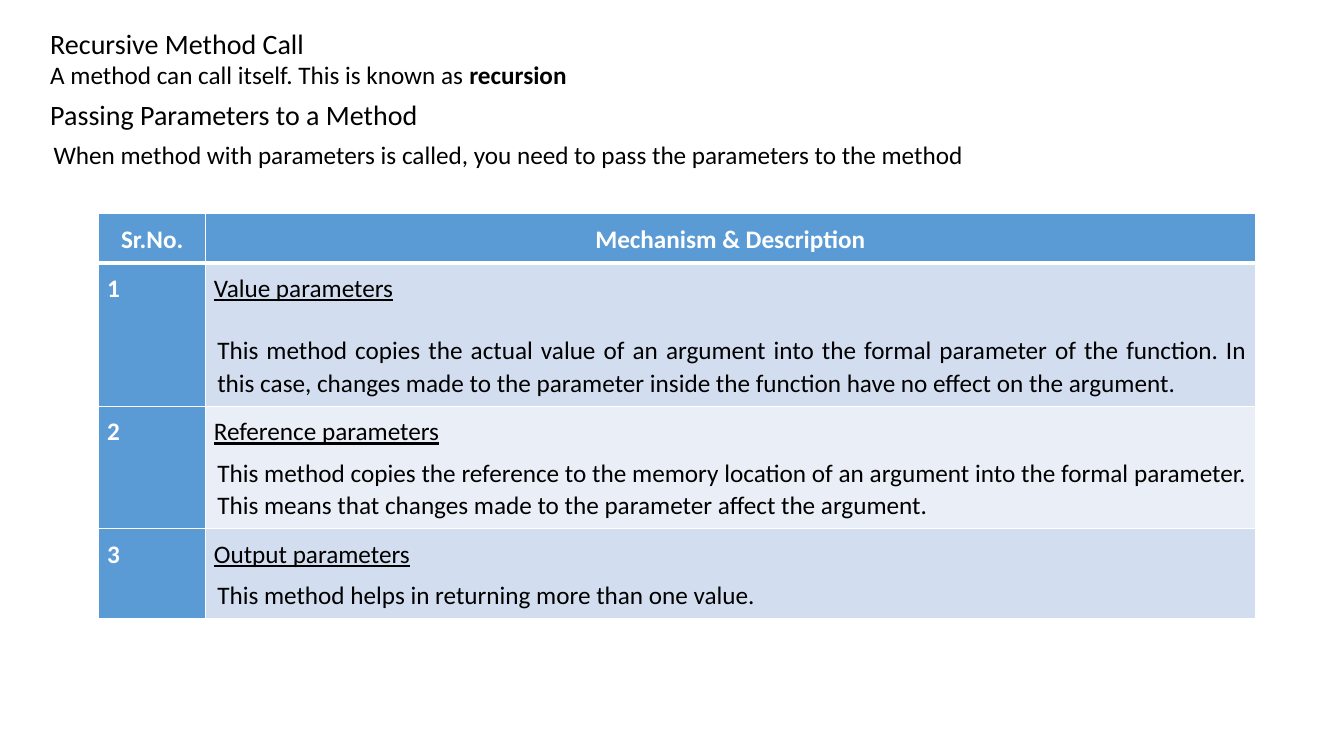
"""Build a slide on recursion and on passing parameters to a method."""
from dataclasses import dataclass

from lxml.etree import SubElement
from pptx import Presentation
from pptx.dml.color import RGBColor
from pptx.enum.text import MSO_AUTO_SIZE as AutoSize, PP_ALIGN as Align
from pptx.oxml.ns import qn
from pptx.util import Pt


@dataclass(frozen=True)
class Theme:
    """Colours, font and type sizes of the slide."""
    font: str = "Calibri"
    heading: int = 20
    body: int = 18
    ink: str = "000000"
    white: str = "FFFFFF"
    accent: str = "5B9BD5"
    bands: tuple = ("D2DEEF", "EAEFF7")


@dataclass
class Text:
    """One paragraph: its (text, style) runs and its spacing."""
    runs: list
    align: Align = Align.LEFT
    size: int = Theme.body
    color: str = Theme.ink
    before: float = 0
    after: float = 0
    line: float = 1
    indent: float = 0


class SlideBuilder:
    """Holds the theme and the current slide."""

    def __init__(self, slide, theme):
        """Keep the slide and its style."""
        self.slide = slide
        self.theme = theme

    def fill_text(self, frame, texts):
        """Fill a text frame paragraph by paragraph, run by run."""
        frame.word_wrap = True
        for index, text in enumerate(texts):
            paragraph = frame.add_paragraph() if index else frame.paragraphs[0]
            paragraph.alignment = text.align
            paragraph.line_spacing = text.line
            paragraph.space_before = Pt(text.before)
            paragraph.space_after = Pt(text.after)
            if text.indent:
                properties = paragraph._p.get_or_add_pPr()
                properties.set("marL", str(Pt(text.indent)))
                properties.set("indent", "0")
            for words, style in text.runs:
                run = paragraph.add_run()
                run.text = words
                run.font.name = self.theme.font
                run.font.size = Pt(text.size)
                run.font.color.rgb = RGBColor.from_string(text.color)
                run.font.bold = "b" in style
                run.font.underline = "u" in style

    def text_box(self, left, top, width, height, texts):
        """Add a wrapping text box."""
        shape = self.slide.shapes.add_textbox(Pt(left), Pt(top), Pt(width), Pt(height))
        self.fill_text(shape.text_frame, texts)
        shape.text_frame.auto_size = AutoSize.SHAPE_TO_FIT_TEXT

    def border(self, cell, side, width):
        """Draw one white edge of a table cell."""
        edge = SubElement(cell._tc.get_or_add_tcPr(), qn(f"a:ln{side}"), w=str(Pt(width)))
        fill = SubElement(edge, qn("a:solidFill"))
        SubElement(fill, qn("a:srgbClr"), val=self.theme.white)

    def cell(self, cell, texts, color, top_border, bottom_border):
        """Fill and style one table cell."""
        cell.margin_left = cell.margin_right = Pt(6)
        cell.margin_top = cell.margin_bottom = Pt(6)
        self.fill_text(cell.text_frame, texts)
        for side, width in zip("LRTB", (1, 1, top_border, bottom_border)):
            self.border(cell, side, width)
        cell.fill.solid()
        cell.fill.fore_color.rgb = RGBColor.from_string(color)

    def table(self, left, top, widths, heights, rows):
        """Add a table with a header row, a header column and banded rows."""
        shape = self.slide.shapes.add_table(
            len(rows), len(widths), Pt(left), Pt(top), Pt(sum(widths)), Pt(sum(heights)))
        table = shape.table
        for column, width in zip(table.columns, widths):
            column.width = Pt(width)
        for index, (height, row) in enumerate(zip(heights, rows)):
            table.rows[index].height = Pt(height)
            for position, texts in enumerate(row):
                banded = index and position
                color = self.theme.bands[(index - 1) % 2] if banded else self.theme.accent
                self.cell(table.cell(index, position), texts, color,
                          3 if index == 1 else 1, 1 if index else 3)


def label(words, style="b", align=Align.LEFT, color=Theme.white, after=0):
    """Return a one-run table paragraph."""
    return Text([(words, style)], align, color=color, after=after, line=1.07)


def description(words, line=1.07):
    """Return a justified, slightly indented paragraph."""
    return Text([(words, "")], Align.JUSTIFY, before=6, after=7.2, line=line, indent=2.4)


def heading(words):
    """Return a heading paragraph."""
    return Text([(words, "")], size=Theme.heading)


MECHANISMS = [
    ("Value parameters", 15,
     "This method copies the actual value of an argument into the formal parameter of the "
     "function. In this case, changes made to the parameter inside the function have no "
     "effect on the argument."),
    ("Reference parameters", 0,
     "This method copies the reference to the memory location of an argument into the formal "
     "parameter. This means that changes made to the parameter affect the argument."),
    ("Output parameters", 0, "This method helps in returning more than one value."),
]


def main():
    """Build the slide and save it."""
    presentation = Presentation()
    presentation.slide_width, presentation.slide_height = Pt(960), Pt(540)
    slide = presentation.slides.add_slide(presentation.slide_layouts[6])
    builder = SlideBuilder(slide, Theme())
    builder.text_box(28.8, 15.1, 480, 53.3, [
        heading("Recursive Method Call"),
        Text([("A method can call itself. This is known as ", ""), ("recursion", "b")],
             Align.JUSTIFY),
    ])
    builder.text_box(28.8, 66.2, 894, 59, [
        heading("Passing Parameters to a Method"),
        description("When method with parameters is called, "
                    "you need to pass the parameters to the method", line=1),
    ])
    rows = [[[label(words, align=Align.CENTER, after=15)]
             for words in ("Sr.No.", "Mechanism & Description")]]
    for number, (name, after, words) in enumerate(MECHANISMS, 1):
        rows.append([[label(str(number), after=after)],
                     [label(name, "u", color=Theme.ink, after=after), description(words)]])
    builder.table(70.6, 152.8, (76.2, 749.8), (34.5, 102, 87.5, 64), rows)
    presentation.save("out.pptx")


if __name__ == "__main__":
    main()
